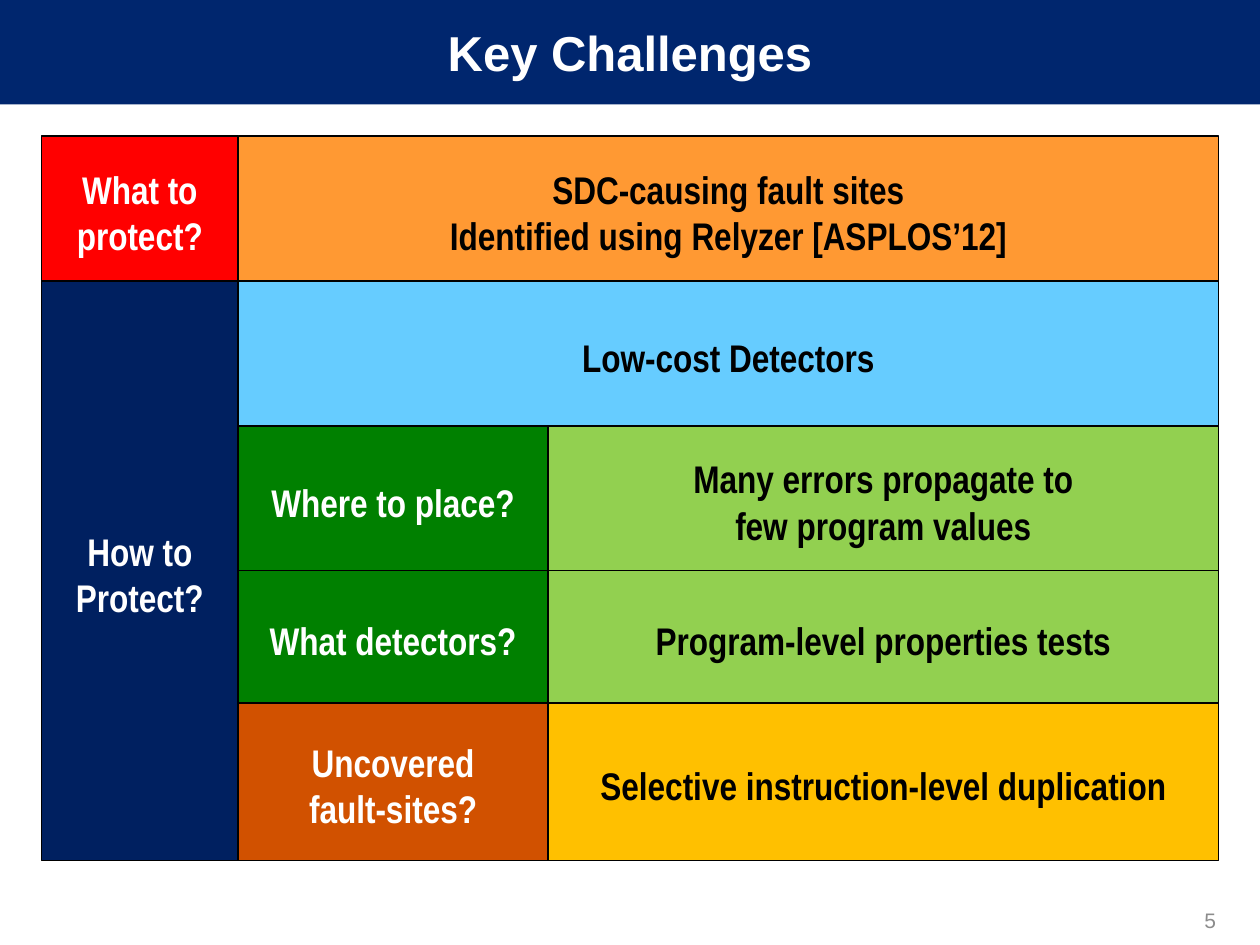
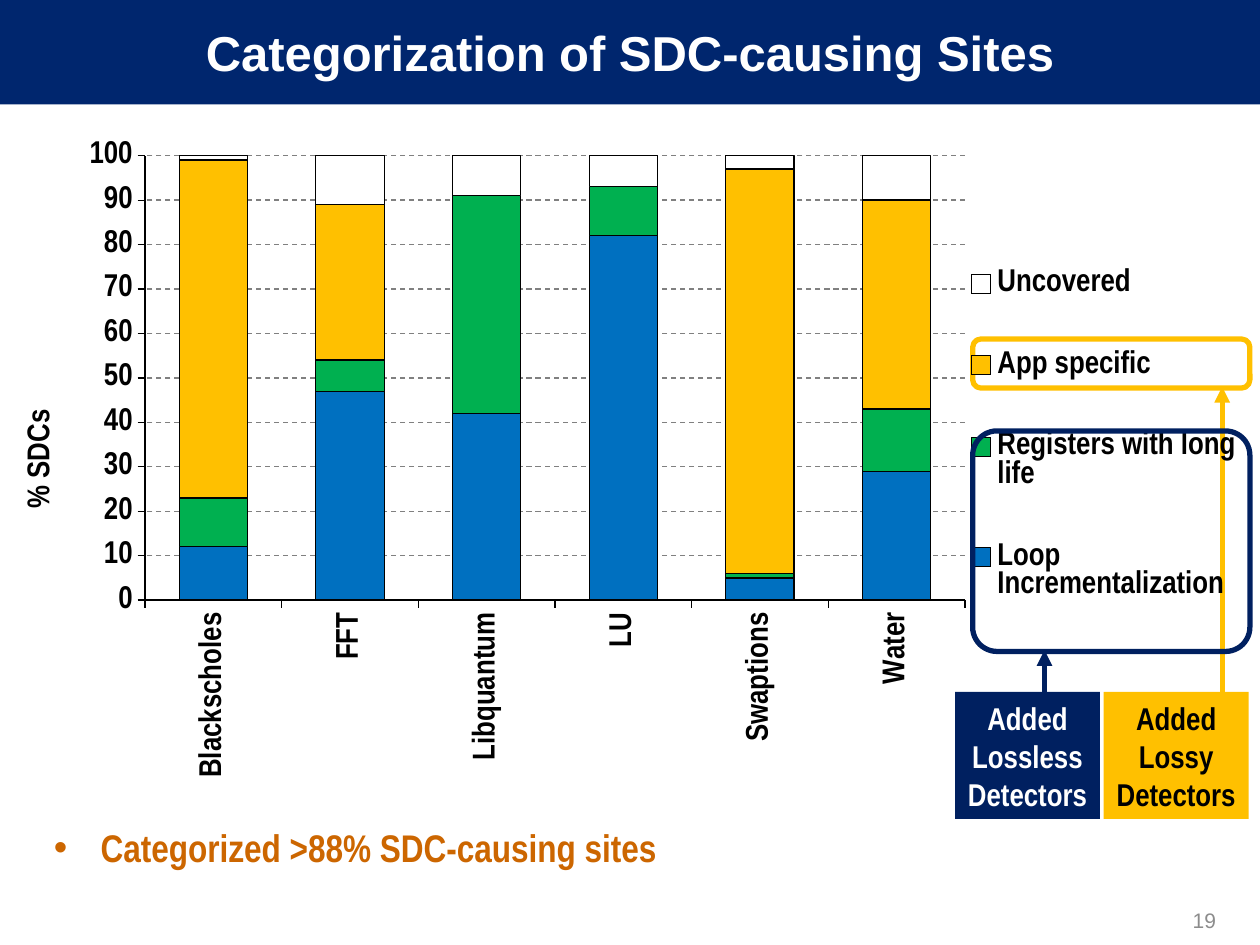
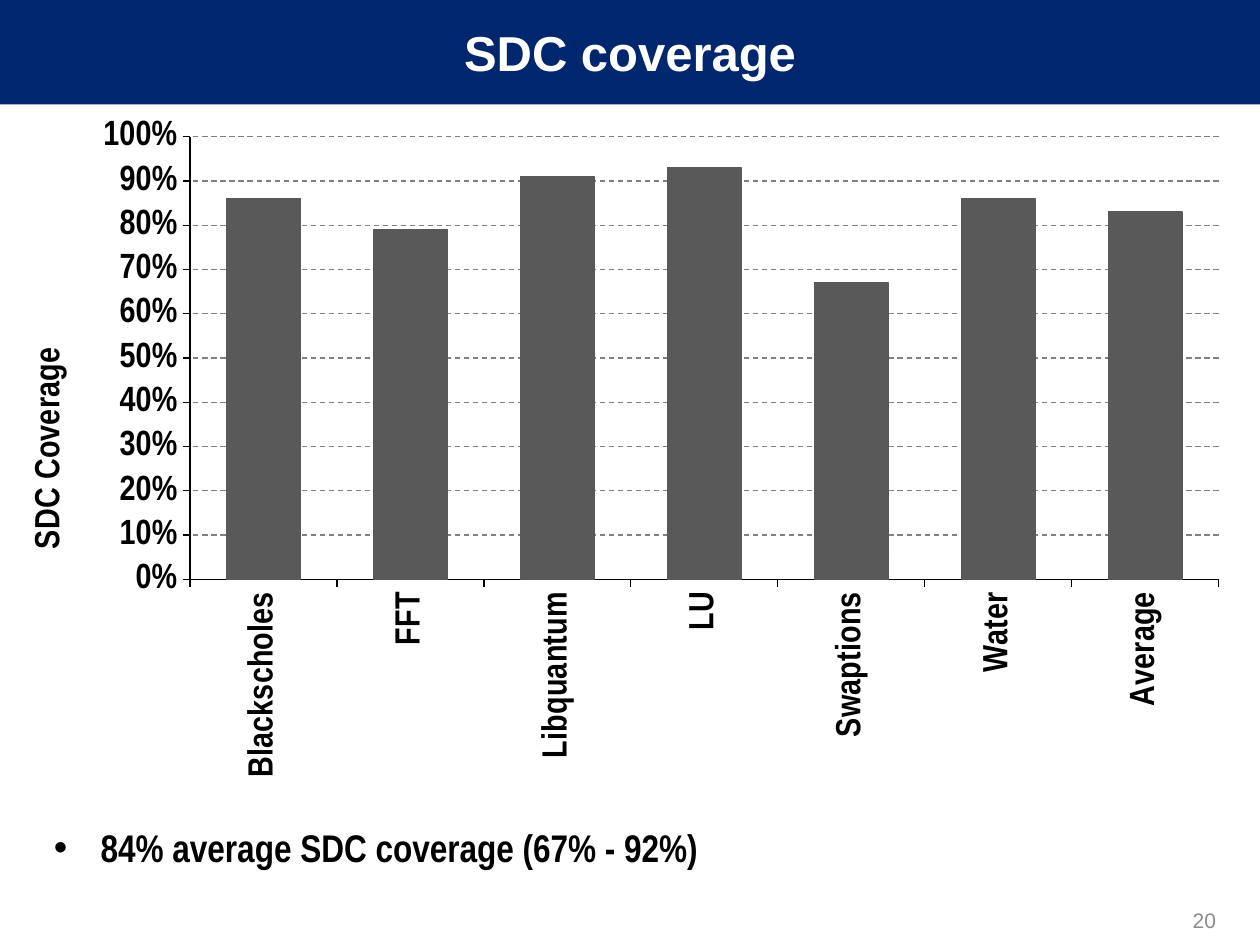
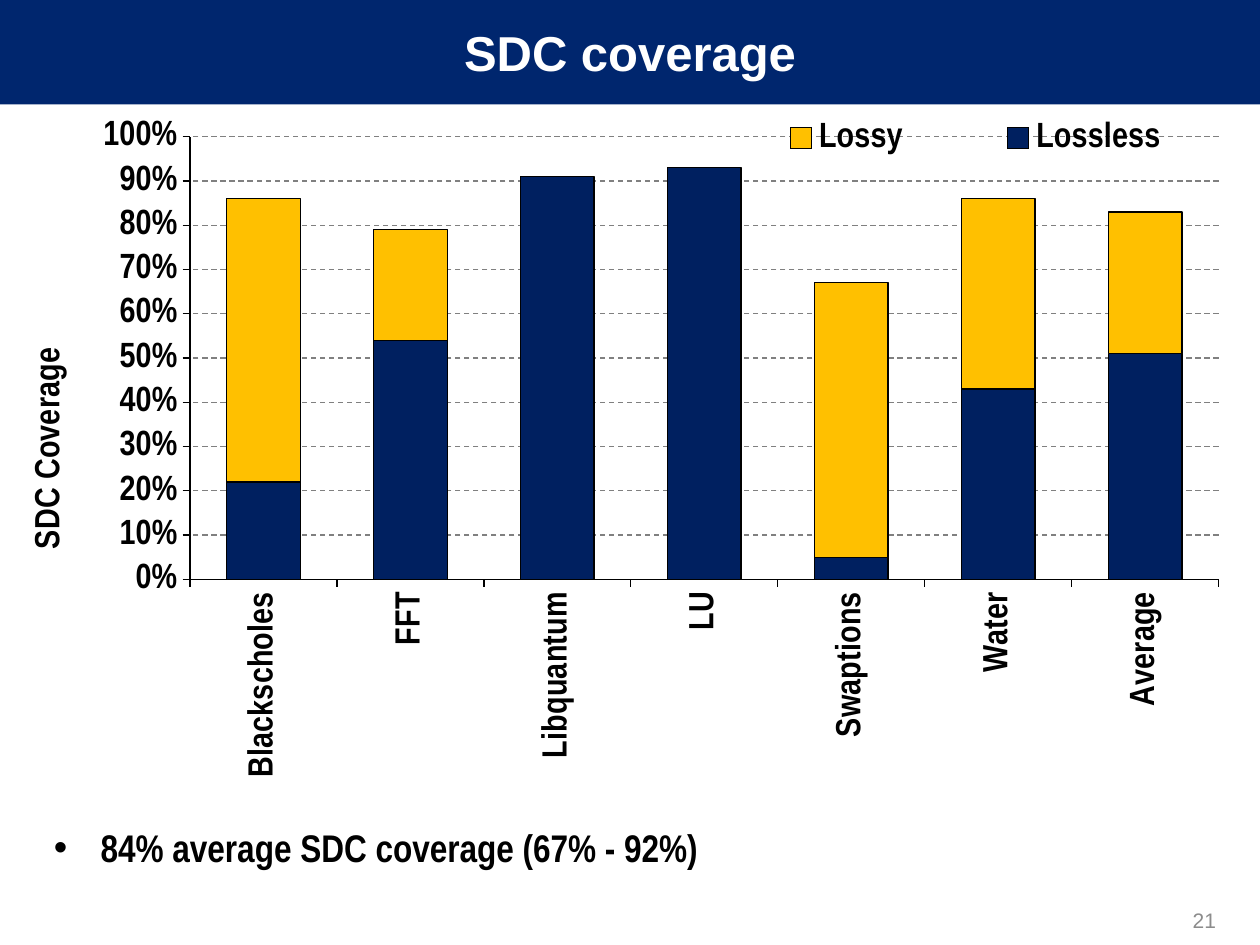
import pptx
import pptx.util
import pptx.chart.data
import pptx.dml.color
import pptx.enum.chart
import pptx.enum.dml
import pptx.enum.shapes
import pptx.enum.text
import pptx.oxml
import pptx.oxml.ns

Inches = pptx.util.Inches
Pt = pptx.util.Pt
RGB = pptx.dml.color.RGBColor.from_string
qn = pptx.oxml.ns.qn
Kind = pptx.enum.shapes.MSO_SHAPE
Align = pptx.enum.text.PP_ALIGN
Anchor = pptx.enum.text.MSO_ANCHOR

hues = {
    "band": "00266E", "navy": "002060", "gold": "FFC000", "white": "FFFFFF",
    "black": "000000", "red": "FF0000", "orange": "FF9933", "sky": "66CCFF",
    "green": "008000", "lime": "92D050", "rust": "D15100", "brown": "CC6600",
    "gray": "8C8C8C", "dark": "595959", "blue": "0070C0", "leaf": "00B050",
    "grid": "808080",
}


def write(slide, text, at, size=22, font="Arial Narrow", hue="black", bold=True,
          align=Align.CENTER, anchor=Anchor.MIDDLE, fill=None, line=None,
          width=0.75, kind=None, pad=(0.1, 0.05), lead=None, bullet=False):
    place = [Inches(n) for n in at]
    if kind is None:
        shape = slide.shapes.add_textbox(*place)
    else:
        shape = slide.shapes.add_shape(kind, *place)
        shape.shadow.inherit = False
    if fill:
        shape.fill.solid()
        shape.fill.fore_color.rgb = RGB(hues[fill])
    else:
        shape.fill.background()
    if line:
        shape.line.color.rgb = RGB(hues[line])
        shape.line.width = Pt(width)
    else:
        shape.line.fill.background()
    frame = shape.text_frame
    frame.word_wrap = True
    frame.vertical_anchor = anchor
    frame.margin_left = frame.margin_right = Inches(pad[0])
    frame.margin_top = frame.margin_bottom = Inches(pad[1])
    for i, words in enumerate(text.split("\n") if text else []):
        para = frame.add_paragraph() if i else frame.paragraphs[0]
        para.alignment = align
        if lead:
            para.line_spacing = lead
        if bullet:
            para.space_before = Pt(12.2)
            props = para._p.get_or_add_pPr()
            props.set("marL", str(Inches(0.37)))
            props.set("indent", str(-Inches(0.37)))
            for tag, name, val in [("a:buFont", "typeface", "Arial"),
                                   ("a:buChar", "char", "•")]:
                props.append(props.makeelement(qn(tag), {name: val}))
        run = para.add_run()
        run.text = words
        run.font.size = Pt(size)
        run.font.name = font
        run.font.bold = bold
        run.font.color.rgb = RGB(hues[hue])
    return shape


def plot(slide, at, cats, rows, label, size, form, top, area, spot, key=None):
    data = pptx.chart.data.CategoryChartData(number_format=form)
    data.categories = cats
    for name, vals, hue, edge in rows:
        data.add_series(name, vals)
    chart = slide.shapes.add_chart(
        pptx.enum.chart.XL_CHART_TYPE.COLUMN_STACKED,
        *[Inches(n) for n in at], data).chart
    chart.has_title = False
    chart.font.size = Pt(size)
    chart.font.name = "Arial Narrow"
    chart.font.bold = True
    chart.font.color.rgb = RGB(hues["black"])
    bars = chart.plots[0]
    bars.gap_width = 100
    bars.overlap = 100
    bars.vary_by_categories = False
    for series, (name, vals, hue, edge) in zip(bars.series, rows):
        series.format.fill.solid()
        series.format.fill.fore_color.rgb = RGB(hues[hue])
        series.format.line.color.rgb = RGB(hues[edge])
        series.format.line.width = Pt(0.75)

    base, side = chart.category_axis, chart.value_axis
    for axis in (base, side):
        axis.major_tick_mark = pptx.enum.chart.XL_TICK_MARK.OUTSIDE
        axis.minor_tick_mark = pptx.enum.chart.XL_TICK_MARK.NONE
        axis.format.line.color.rgb = RGB(hues["black"])
        axis.format.line.width = Pt(0.75)
        axis.tick_labels.font.size = Pt(size)
        axis.tick_labels.font.bold = True
    turn = base._element.find(qn("c:txPr")).find(qn("a:bodyPr"))
    turn.set("rot", "-5400000")
    turn.set("vert", "horz")
    side.minimum_scale = 0
    side.maximum_scale = top
    side.major_unit = top / 10
    side.tick_labels.number_format = form
    side.tick_labels.number_format_is_linked = False
    side.has_major_gridlines = True
    grid = side.major_gridlines.format.line
    grid.color.rgb = RGB(hues["grid"])
    grid.width = Pt(0.75)
    grid.dash_style = pptx.enum.dml.MSO_LINE.DASH

    frame = side.axis_title.text_frame
    frame.text = label
    font = frame.paragraphs[0].runs[0].font
    font.size = Pt(size)
    font.bold = True
    frame._txBody.find(qn("a:bodyPr")).set("rot", "-5400000")

    parts = [(chart._chartSpace.chart.plotArea, 0, area),
             (side.axis_title._element, 1, spot)]
    chart.has_legend = key is not None
    if key:
        chart.legend.position = pptx.enum.chart.XL_LEGEND_POSITION.RIGHT
        chart.legend.include_in_layout = False
        parts.append((chart.legend._element, 1, key))
    for part, index, nums in parts:
        for old in part.findall(qn("c:layout")):
            part.remove(old)
        layout = part.makeelement(qn("c:layout"), {})
        manual = layout.makeelement(qn("c:manualLayout"), {})
        layout.append(manual)
        tags = [("xMode", "edge"), ("yMode", "edge")] + list(zip("xywh", nums))
        if index == 0:
            tags.insert(0, ("layoutTarget", "inner"))
        for tag, val in tags:
            manual.append(manual.makeelement(qn("c:" + tag), {"val": str(val)}))
        part.insert(index, layout)


deck = pptx.Presentation()
deck.slide_width = Inches(10)
deck.slide_height = Inches(7.5)

pages = []
for title, number in [("Key Challenges", 5), ("Categorization of SDC-causing Sites", 19),
                      ("SDC coverage", 20), ("SDC coverage", 21)]:
    page = deck.slides.add_slide(deck.slide_layouts[6])
    write(page, "", (0, 0, 10, 0.83), kind=Kind.RECTANGLE, fill="band")
    write(page, title, (0, 0, 10, 0.83), size=28, font="Arial", hue="white")
    write(page, str(number), (7.42, 7.1, 2.33, 0.4), size=12, font="Arial",
          hue="gray", bold=False, align=Align.RIGHT)
    pages.append(page)
goals, sites, total, split = pages

cols = [0.33, 1.89, 4.35, 9.67]
tops = [1.08, 2.23, 3.38, 4.53, 5.58, 6.83]
cells = [
    (0, 1, 0, 1, "What to\nprotect?", "red", "white"),
    (1, 3, 0, 1, "SDC-causing fault sites\nIdentified using Relyzer [ASPLOS’12]",
     "orange", "black"),
    (0, 1, 1, 5, "How to\nProtect?", "navy", "white"),
    (1, 3, 1, 2, "Low-cost Detectors", "sky", "black"),
    (1, 2, 2, 3, "Where to place?", "green", "white"),
    (2, 3, 2, 3, "Many errors propagate to\nfew program values", "lime", "black"),
    (1, 2, 3, 4, "What detectors?", "green", "white"),
    (2, 3, 3, 4, "Program-level properties tests", "lime", "black"),
    (1, 2, 4, 5, "Uncovered\nfault-sites?", "rust", "white"),
    (2, 3, 4, 5, "Selective instruction-level duplication", "gold", "black"),
]
for left, right, high, low, text, fill, hue in cells:
    at = (cols[left], tops[high], cols[right] - cols[left], tops[low] - tops[high])
    cell = write(goals, text, at, hue=hue, fill=fill, line="black",
                 kind=Kind.RECTANGLE, lead=Pt(26.5))
    cell.text_frame.margin_top = Inches(0.1)

apps = ["Blackscholes", "FFT", "Libquantum", "LU", "Swaptions", "Water"]
kinds = [
    ("Loop Incrementalization", (12, 47, 42, 82, 5, 29), "blue", "black"),
    ("Registers with long life", (11, 7, 49, 11, 1, 14), "leaf", "black"),
    ("App specific", (76, 35, 0, 0, 91, 47), "gold", "black"),
    ("Uncovered", (1, 11, 9, 7, 3, 10), "white", "black"),
]
marks = [
    ("Added Lossy\nDetectors", 8.76, "gold", "black", (2.69, 0.39), 0.17, (9.7, 3.07)),
    ("Added Lossless Detectors", 7.58, "navy", "white", (3.42, 1.75), 0.11, (8.29, 5.16)),
]
for text, left, fill, hue, (high, tall), bend, (x, y) in marks:
    if fill == "navy":
        plot(sites, (0.08, 1, 9.92, 5.25), apps, kinds, "% SDCs", 18, "General", 100,
             (0.108, 0.045, 0.656, 0.672), (0.006, 0.42), (0.76, 0.137, 0.23, 0.66))
    arrow = sites.shapes.add_connector(pptx.enum.shapes.MSO_CONNECTOR.STRAIGHT,
                                       Inches(x), Inches(5.49), Inches(x), Inches(y))
    arrow.line.color.rgb = RGB(hues[fill])
    arrow.line.width = Pt(3)
    stroke = arrow.line._get_or_add_ln()
    stroke.append(stroke.makeelement(qn("a:tailEnd"), {"type": "triangle"}))
    props = arrow._element.spPr
    props.append(props.makeelement(qn("a:effectLst"), {}))
    ring = write(sites, "", (7.72, high, 2.2, tall), line=fill, width=3,
                 kind=Kind.ROUNDED_RECTANGLE)
    ring.adjustments[0] = bend
    write(sites, text, (left, 5.49, 1.15, 1.01), size=18, hue=hue, fill=fill,
          kind=Kind.RECTANGLE, pad=(0.05, 0.05), lead=Pt(21.7))

safe = (0.22, 0.54, 0.91, 0.93, 0.05, 0.43, 0.51)
loss = (0.64, 0.25, 0, 0, 0.62, 0.43, 0.32)
views = [
    (total, [("Series 1", safe, "dark", "dark"), ("Series 2", loss, "dark", "dark")], None),
    (split, [("Lossless", safe, "navy", "black"), ("Lossy", loss, "gold", "black")],
     (0.55, 0.002, 0.445, 0.06)),
]
for page, rows, key in views:
    plot(page, (0.08, 0.92, 9.92, 5.5), apps + ["Average"], rows, "SDC Coverage", 20,
         "0%", 1, (0.144, 0.03, 0.823, 0.639), (0.01, 0.325), key)

mean = "84% average SDC coverage (67% - 92%)"
for page, text, hue, tall in [(sites, "Categorized >88% SDC-causing sites", "brown", 0.67),
                              (total, mean, "black", 1), (split, mean, "black", 1)]:
    write(page, text, (0.33, 6.42, 9.42, tall), hue=hue, align=Align.LEFT,
          anchor=Anchor.TOP, lead=1.2, bullet=True)

deck.save("out.pptx")
